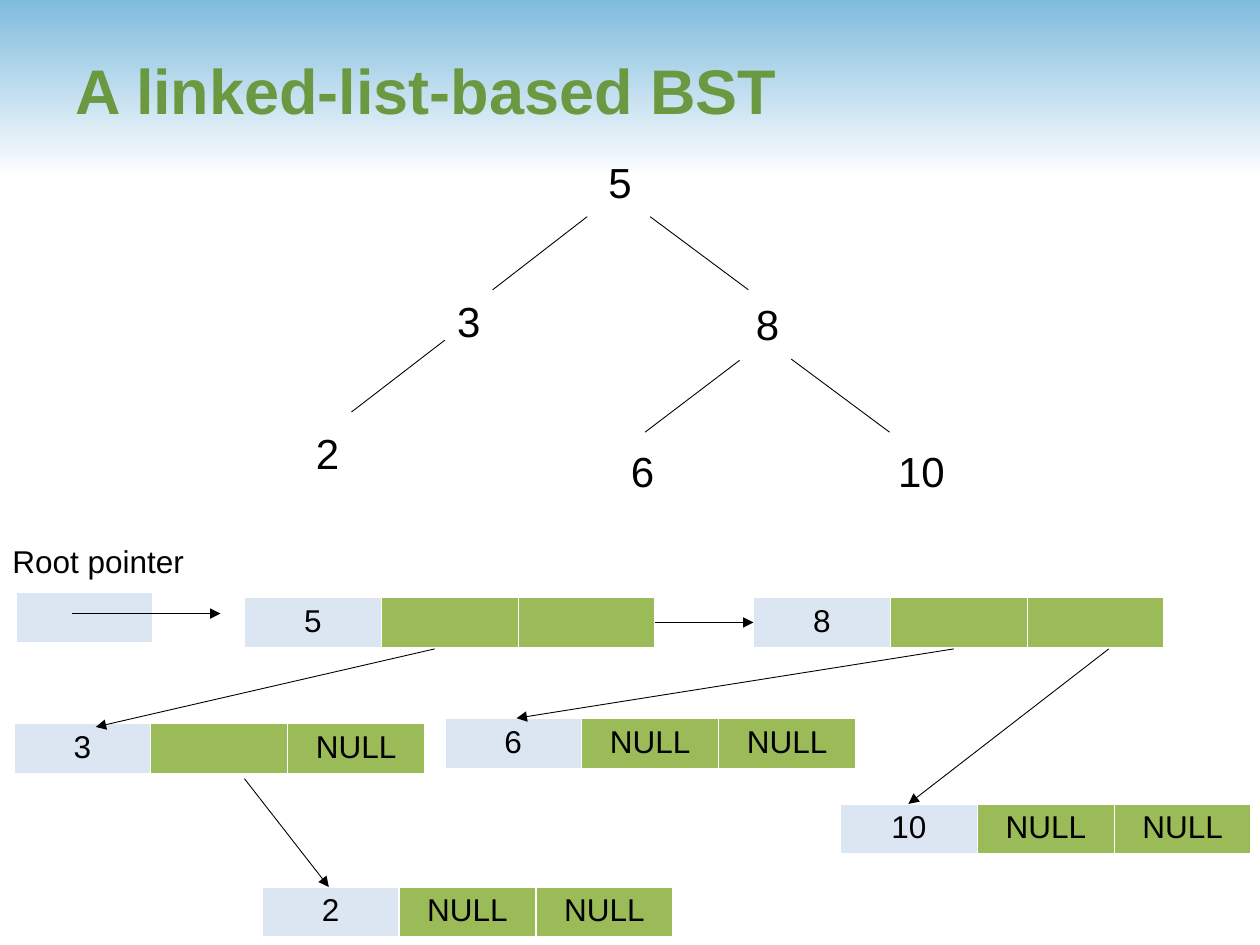
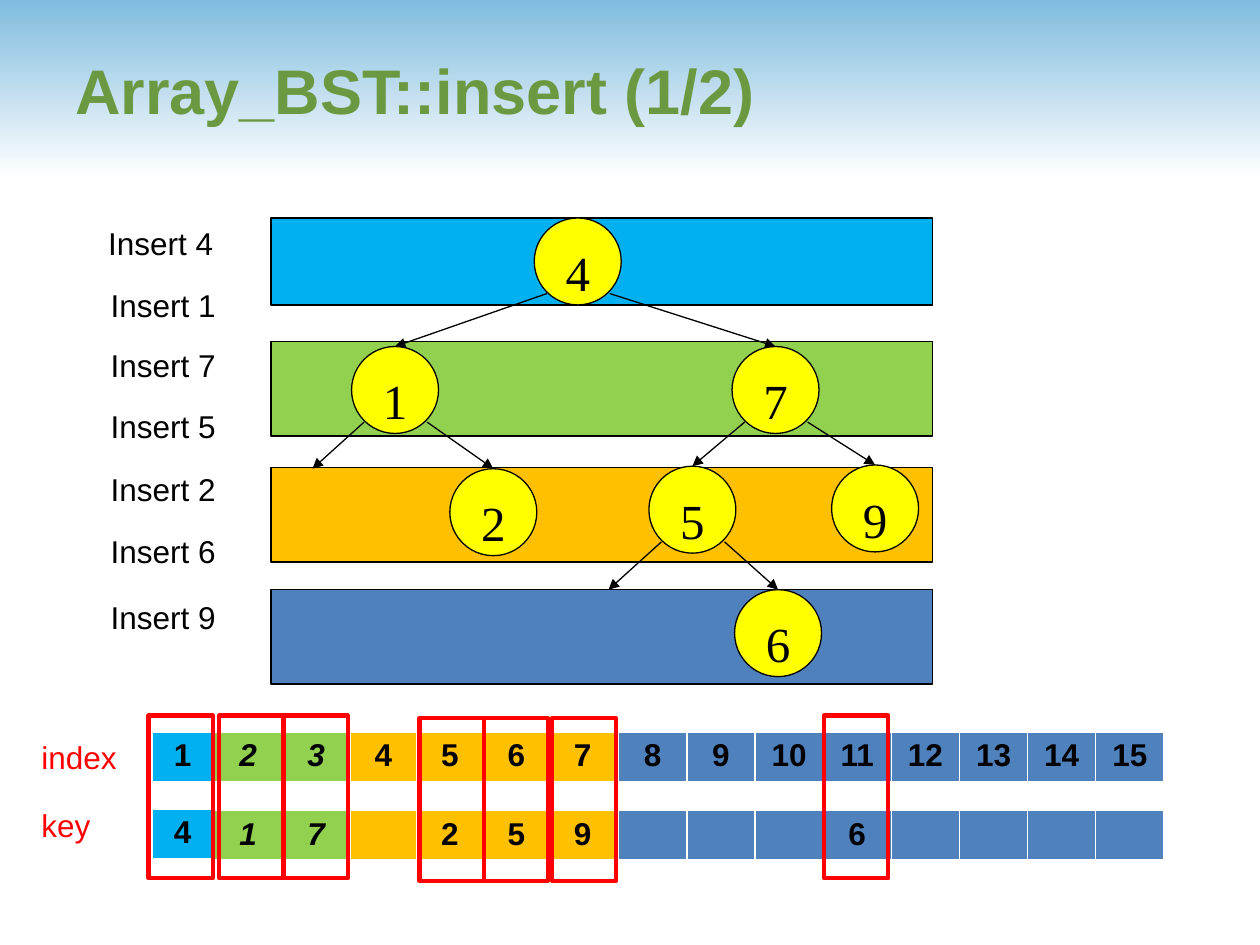
from dataclasses import dataclass

from lxml import etree
from pptx import Presentation
from pptx import util as u
from pptx.dml.color import RGBColor
from pptx.enum import shapes, text
from pptx.oxml import ns

PX = 9144  # 100 px to the inch
SANS, SERIF = "Arial", "Times New Roman"
HUES = {
    "sky": "80BCDE", "white": "FFFFFF", "black": "000000", "title": "6B9941",
    "pale": "DCE6F2", "olive": "9BBB59", "cyan": "00B0F0", "lime": "92D050",
    "amber": "FFC000", "steel": "4F81BD", "sun": "FFFF00", "red": "FF0000",
}
BALL = 69
ROW = 41


@dataclass
class Word:
    label: str
    x: int
    y: int
    w: int = 50
    h: int = 50
    size: int = 24
    hue: str = "black"
    bold: bool = False


@dataclass
class Line:
    x1: int
    y1: int
    x2: int
    y2: int


@dataclass
class Row:
    """One-row table: x, y, total width, then a label and a hue per cell."""
    x: int
    y: int
    w: int
    labels: list[str]
    hues: list[str]
    bold: bool = False
    slant: bool = False


@dataclass
class Ball:
    key: str
    x: int
    y: int


@dataclass
class Level:
    """Tree level: its band on the slide and its stretch of the array."""
    hue: str
    y: int
    h: int
    x: int
    w: int
    first: int
    keys: list[str]
    key_y: int = 643
    slant: bool = False


def rgb(hue: str) -> RGBColor:
    return RGBColor.from_string(HUES[hue])


def style(par, size: int, hue: str = "black", face: str = SANS,
          bold: bool = False, slant: bool = False) -> None:
    font = par.font
    font.name, font.size, font.bold, font.italic = face, u.Pt(size), bold, slant
    font.color.rgb = rgb(hue)


def write(slide, word: Word, anchor=text.MSO_ANCHOR.TOP) -> None:
    box = slide.shapes.add_textbox(*[n * PX for n in (word.x, word.y, word.w, word.h)])
    frame = box.text_frame
    frame.word_wrap = True
    frame.vertical_anchor = anchor
    frame.text = word.label
    style(frame.paragraphs[0], word.size, word.hue, bold=word.bold)


def shape(slide, kind, x: int, y: int, w: int, h: int, fill: str = "",
          line: str = "black", width: float = 0.75):
    item = slide.shapes.add_shape(kind, x * PX, y * PX, w * PX, h * PX)
    item.shadow.inherit = False
    if fill:
        item.fill.solid()
        item.fill.fore_color.rgb = rgb(fill)
    else:
        item.fill.background()
    item.line.color.rgb = rgb(line)
    item.line.width = u.Pt(width)
    return item


def draw(slide, line: Line, width: float = 0.5, arrow: bool = False):
    link = slide.shapes.add_connector(
        shapes.MSO_CONNECTOR.STRAIGHT,
        line.x1 * PX, line.y1 * PX, line.x2 * PX, line.y2 * PX)
    link.line.color.rgb = rgb("black")
    link.line.width = u.Pt(width)
    if arrow:
        etree.SubElement(link.line._get_or_add_ln(), ns.qn("a:tailEnd"), type="triangle")
    etree.SubElement(link._element.spPr, ns.qn("a:effectLst"))
    return link


def edge(cell) -> None:
    """Give a cell white borders, thicker below."""
    props = cell._tc.get_or_add_tcPr()
    for side, width in (("L", 1), ("R", 1), ("T", 1), ("B", 3)):
        ln = etree.SubElement(props, ns.qn(f"a:ln{side}"), w=str(u.Pt(width)))
        fill = etree.SubElement(ln, ns.qn("a:solidFill"))
        etree.SubElement(fill, ns.qn("a:srgbClr"), val=HUES["white"])


def table(slide, row: Row) -> None:
    count = len(row.labels)
    grid = slide.shapes.add_table(
        1, count, row.x * PX, row.y * PX, row.w * PX, ROW * PX).table
    for col, (label, hue) in enumerate(zip(row.labels, row.hues)):
        grid.columns[col].width = row.w * PX // count
        cell = grid.cell(0, col)
        edge(cell)
        cell.fill.solid()
        cell.fill.fore_color.rgb = rgb(hue)
        cell.text = label
        par = cell.text_frame.paragraphs[0]
        par.alignment = text.PP_ALIGN.CENTER
        style(par, 18, bold=row.bold, slant=row.slant)


def start(deck, title: str):
    """Add a blank slide with the faded top band and its title."""
    slide = deck.slides.add_slide(deck.slide_layouts[6])
    band = shape(slide, shapes.MSO_SHAPE.PENTAGON, 0, 0, 1000, 142)
    band.adjustments[0] = 0
    band.line.fill.background()
    band.fill.gradient()
    band.fill.gradient_angle = 270
    for stop, hue, pos in zip(band.fill.gradient_stops, ("sky", "white"), (0, 1)):
        stop.color.rgb = rgb(hue)
        stop.position = pos
    write(slide, Word(title, 50, 8, 908, 125, 36, "title", True),
          text.MSO_ANCHOR.MIDDLE)
    return slide


def list_slide(deck) -> None:
    slide = start(deck, "A linked-list-based BST")
    for word in (
        Word("5", 473, 119), Word("3", 353, 230), Word("8", 590, 232),
        Word("6", 491, 349), Word("2", 241, 334), Word("10", 703, 349, 70),
        Word("Root pointer", 0, 425, 167, 40, 18),
    ):
        write(slide, word)
    for line in (
        Line(466, 172, 391, 230), Line(594, 230, 516, 172),
        Line(587, 286, 512, 343), Line(706, 343, 628, 285),
        Line(353, 270, 279, 327),
    ):
        draw(slide, line)

    table(slide, Row(13, 470, 108, [""], ["pale"]))
    for x, y, *labels in (
        (194, 474, "5", "", ""), (598, 474, "8", "", ""),
        (11, 574, "3", "", "NULL"), (353, 570, "6", "NULL", "NULL"),
        (667, 638, "10", "NULL", "NULL"), (208, 704, "2", "NULL", "NULL"),
    ):
        table(slide, Row(x, y, 326, labels, ["pale", "olive", "olive"]))
    for line in (
        Line(57, 487, 175, 487), Line(520, 494, 598, 494),
        Line(345, 515, 76, 577), Line(194, 618, 261, 704),
        Line(880, 515, 721, 638), Line(757, 515, 410, 570),
    ):
        draw(slide, line, arrow=True)


def tree(slide) -> None:
    balls = {}
    spots = {ball.key: ball for ball in (
        Ball("4", 424, 173), Ball("1", 279, 275), Ball("7", 581, 275),
        Ball("2", 357, 372), Ball("5", 515, 370), Ball("9", 660, 369),
        Ball("6", 583, 468),
    )}
    for key, spot in spots.items():
        ball = shape(slide, shapes.MSO_SHAPE.OVAL, spot.x, spot.y, BALL, BALL, "sun")
        frame = ball.text_frame
        frame.vertical_anchor = text.MSO_ANCHOR.TOP
        frame.margin_top = 9 * PX
        frame.text = key
        par = frame.paragraphs[0]
        par.alignment = text.PP_ALIGN.CENTER
        style(par, 28, face=SERIF)
        balls[key] = ball

    # Left and right child of each node; a bare point is an empty child.
    for key, *kids in (
        ("4", "1", "7"), ("1", (248, 372), "2"),
        ("7", "5", "9"), ("5", (483, 468), "6"),
    ):
        spot = spots[key]
        for shift, kid in zip((10, 60), kids):
            x, y = (spots[kid].x, spots[kid].y) if kid in balls else kid
            link = draw(slide, Line(spot.x + shift, spot.y + 60, x, y), 0.75, True)
            if kid in balls:
                link.end_connect(balls[kid], 0)


def array_slide(deck) -> None:
    slide = start(deck, "Array_BST::insert (1/2)")
    levels = (
        Level("cyan", 173, 69, 121, 48, 1, ["4"], key_y=642),
        Level("lime", 271, 75, 170, 108, 2, ["1", "7"], slant=True),
        Level("amber", 371, 75, 278, 211, 4, ["", "2", "5", "9"]),
        Level("steel", 468, 75, 491, 433, 8, ["", "", "", "6", "", "", "", ""]),
    )
    for level in levels:
        shape(slide, shapes.MSO_SHAPE.RECTANGLE, 215, level.y, 525, level.h, level.hue)
    tree(slide)

    for label, y in (("index", 581), ("key", 635)):
        write(slide, Word(label, 23, y, 94, 40, 18, "red"))
    for key, x, y in zip("4175269", (76,) + (78,) * 6,
                         (173, 222, 270, 318, 368, 417, 470)):
        write(slide, Word(f"Insert {key}", x, y, 121, 40, 18))

    for level in levels:
        count = len(level.keys)
        slots = [str(level.first + n) for n in range(count)]
        for y, labels in ((581, slots), (level.key_y, level.keys)):
            table(slide, Row(level.x, y, level.w, labels, [level.hue] * count,
                             True, level.slant))
    for y, lefts in ((568, (118, 174, 225, 654)), (570, (333, 384, 438))):
        for x in lefts:
            shape(slide, shapes.MSO_SHAPE.RECTANGLE, x, y, 51, 129,
                  line="red", width=2.5)


def main() -> None:
    deck = Presentation()
    deck.slide_width, deck.slide_height = 1000 * PX, 750 * PX
    list_slide(deck)
    array_slide(deck)
    deck.save("out.pptx")


if __name__ == "__main__":
    main()
